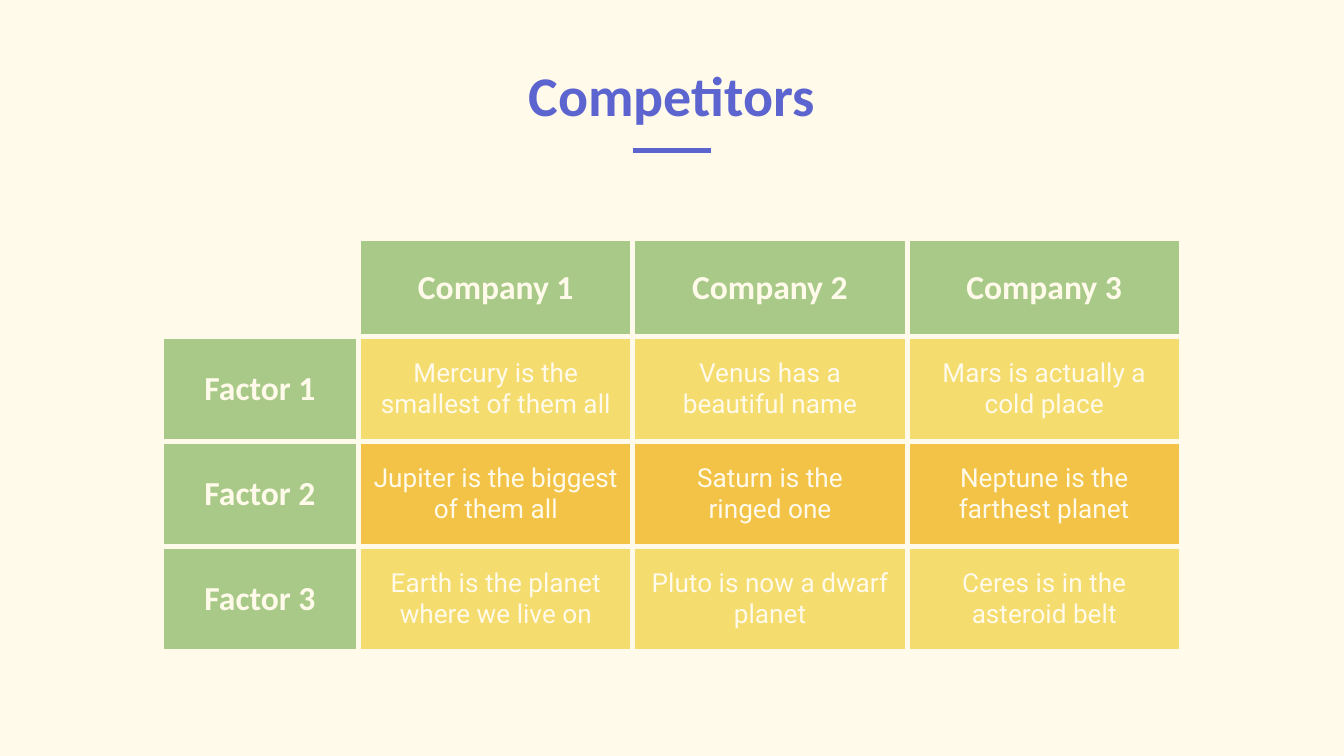
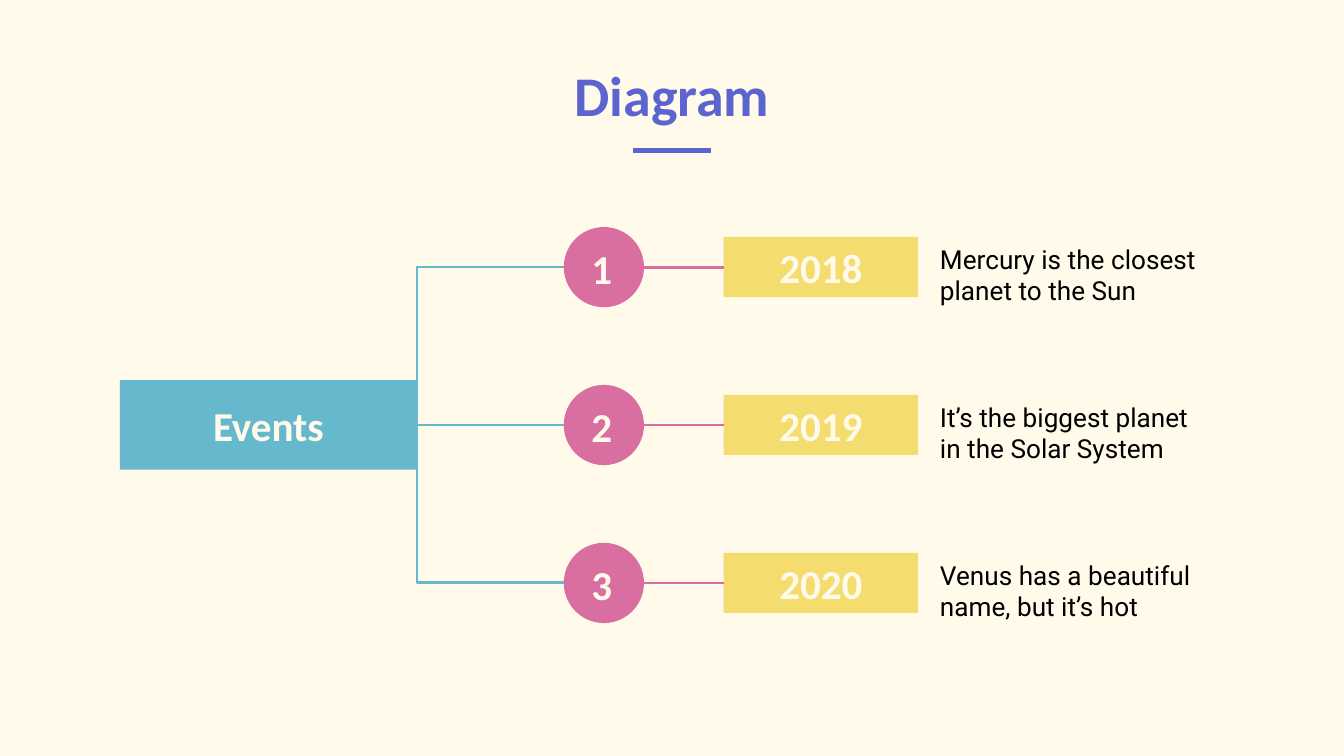
from dataclasses import dataclass

from lxml.etree import SubElement
from pptx import Presentation
from pptx.dml.color import RGBColor
from pptx.enum.shapes import MSO_CONNECTOR, MSO_SHAPE
from pptx.enum.text import MSO_ANCHOR, MSO_AUTO_SIZE, PP_ALIGN
from pptx.oxml.ns import qn
from pptx.presentation import Presentation as Deck
from pptx.shapes.autoshape import Shape
from pptx.shapes.connector import Connector
from pptx.slide import Slide
from pptx.table import _Cell as Cell
from pptx.text.text import TextFrame
from pptx.util import Pt


@dataclass(frozen=True)
class Theme:
    cream: str = "FFFAEA"
    indigo: str = "5C65CF"
    green: str = "A8C987"
    yellow: str = "F5DC6E"
    orange: str = "F3C347"
    blue: str = "66B9CC"
    pink: str = "D96FA0"
    black: str = "000000"
    heading_font: str = "Calibri"
    body_font: str = "Roboto"
    title_size: float = 30
    label_size: float = 22
    header_size: float = 18
    body_size: float = 14
    inset: float = 7.2
    rule_width: float = 3
    link_width: float = 1.5


@dataclass(frozen=True)
class Box:
    left: float
    top: float
    width: float
    height: float

    @property
    def right(self) -> float:
        return self.left + self.width

    @property
    def middle(self) -> float:
        return self.top + self.height / 2

    def points(self) -> tuple[Pt, Pt, Pt, Pt]:
        return Pt(self.left), Pt(self.top), Pt(self.width), Pt(self.height)


@dataclass(frozen=True)
class Factor:
    name: str
    fill: str
    notes: tuple[str, str, str]


@dataclass(frozen=True)
class Milestone:
    number: str
    year: str
    note: str


THEME = Theme()
SLIDE_WIDTH, SLIDE_HEIGHT = 720, 405
TITLE_BOX = Box(56, 16, 608, 59.6)
RULE_LENGTH, RULE_TOP = 42, 80.6

COMPANIES = ("Company 1", "Company 2", "Company 3")
FACTORS = (
    Factor("Factor 1", THEME.yellow, (
        "Mercury is the smallest of them all",
        "Venus has a beautiful name",
        "Mars is actually a\ncold place",
    )),
    Factor("Factor 2", THEME.orange, (
        "Jupiter is the biggest of them all",
        "Saturn is the\nringed one",
        "Neptune is the\nfarthest planet",
    )),
    Factor("Factor 3", THEME.yellow, (
        "Earth is the planet where we live on",
        "Pluto is now a dwarf planet",
        "Ceres is in the asteroid belt",
    )),
)
TABLE_LEFT, TABLE_TOP = 86.4, 127.8
COLUMN_WIDTHS = (105.8, 146.9, 146.9, 146.9)
ROW_HEIGHTS = (52.6, 56.2, 56.2, 56.2)

MILESTONES = (
    Milestone("1", "2018", "Mercury is the closest planet to the Sun"),
    Milestone("2", "2019", "It’s the biggest planet in the Solar System"),
    Milestone("3", "2020", "Venus has a beautiful name, but it’s hot"),
)
EVENTS_BOX = Box(64.2, 203.7, 159.2, 48)
MILESTONE_PITCH = 84.6
CIRCLE_LEFT, CIRCLE_SIZE = 302, 43
YEAR_LEFT, YEAR_WIDTH, YEAR_HEIGHT = 387.7, 104.2, 32.2
NOTE_LEFT, NOTE_WIDTH, NOTE_HEIGHT = 496.5, 159.2, 39.6
NUMBER_LEFT, NUMBER_SIZE = 306.2, 32.4
TEXT_RISE = 20


def rgb(color: str) -> RGBColor:
    return RGBColor.from_string(color)


def write_text(
    frame: TextFrame,
    text: str,
    *,
    size: float = THEME.label_size,
    font: str = THEME.heading_font,
    color: str = THEME.cream,
    bold: bool = True,
    align: PP_ALIGN = PP_ALIGN.CENTER,
) -> None:
    frame.text = text
    for paragraph in frame.paragraphs:
        paragraph.alignment = align
        for run in paragraph.runs:
            run.font.size = Pt(size)
            run.font.name = font
            run.font.bold = bold
            run.font.color.rgb = rgb(color)


def prepare_frame(frame: TextFrame, anchor: MSO_ANCHOR) -> TextFrame:
    frame.word_wrap = True
    frame.auto_size = MSO_AUTO_SIZE.NONE
    frame.vertical_anchor = anchor
    frame.margin_left = frame.margin_right = Pt(THEME.inset)
    frame.margin_top = frame.margin_bottom = Pt(THEME.inset)
    return frame


def add_filled_shape(slide: Slide, kind: MSO_SHAPE, box: Box, color: str) -> Shape:
    shape = slide.shapes.add_shape(kind, *box.points())
    shape.shadow.inherit = False
    shape.fill.solid()
    shape.fill.fore_color.rgb = rgb(color)
    shape.line.fill.background()
    return shape


def add_label_box(slide: Slide, box: Box, color: str, text: str) -> Shape:
    shape = add_filled_shape(slide, MSO_SHAPE.RECTANGLE, box, color)
    write_text(prepare_frame(shape.text_frame, MSO_ANCHOR.MIDDLE), text)
    return shape


def add_text_area(slide: Slide, box: Box) -> TextFrame:
    shape = slide.shapes.add_textbox(*box.points())
    return prepare_frame(shape.text_frame, MSO_ANCHOR.TOP)


def add_line(
    slide: Slide,
    start: tuple[float, float],
    end: tuple[float, float],
    color: str,
    width: float = THEME.link_width,
    kind: MSO_CONNECTOR = MSO_CONNECTOR.STRAIGHT,
) -> Connector:
    connector = slide.shapes.add_connector(
        kind, Pt(start[0]), Pt(start[1]), Pt(end[0]), Pt(end[1])
    )
    connector.line.color.rgb = rgb(color)
    connector.line.width = Pt(width)
    SubElement(connector._element.spPr, qn("a:effectLst"))
    return connector


def turn_at_start(connector: Connector) -> None:
    adjustments = connector._element.spPr.find(".//" + qn("a:avLst"))
    SubElement(adjustments, qn("a:gd"), name="adj1", fmla="val 0")


def add_titled_slide(presentation: Deck, title: str) -> Slide:
    slide = presentation.slides.add_slide(presentation.slide_layouts[5])
    shape = slide.shapes.title
    shape.left, shape.top, shape.width, shape.height = TITLE_BOX.points()
    write_text(
        prepare_frame(shape.text_frame, MSO_ANCHOR.BOTTOM),
        title,
        size=THEME.title_size,
        color=THEME.indigo,
    )
    rule_left = (SLIDE_WIDTH - RULE_LENGTH) / 2
    add_line(
        slide,
        (rule_left, RULE_TOP),
        (rule_left + RULE_LENGTH, RULE_TOP),
        THEME.indigo,
        THEME.rule_width,
    )
    return slide


def add_borders(cell: Cell) -> None:
    properties = cell._tc.get_or_add_tcPr()
    for side in ("a:lnL", "a:lnR", "a:lnT", "a:lnB"):
        border = SubElement(properties, qn(side), w=str(Pt(THEME.rule_width)))
        fill = SubElement(border, qn("a:solidFill"))
        SubElement(fill, qn("a:srgbClr"), val=THEME.cream)


def format_cell(cell: Cell, text: str, color: str, is_header: bool) -> None:
    cell.vertical_anchor = MSO_ANCHOR.MIDDLE
    cell.margin_left = cell.margin_right = Pt(THEME.inset)
    cell.margin_top = cell.margin_bottom = Pt(THEME.inset)
    add_borders(cell)
    if not text:
        cell.fill.background()
        return
    cell.fill.solid()
    cell.fill.fore_color.rgb = rgb(color)
    write_text(
        cell.text_frame,
        text,
        size=THEME.header_size if is_header else THEME.body_size,
        font=THEME.heading_font if is_header else THEME.body_font,
        bold=is_header,
    )


def build_competitors(presentation: Deck) -> None:
    slide = add_titled_slide(presentation, "Competitors")
    box = Box(TABLE_LEFT, TABLE_TOP, sum(COLUMN_WIDTHS), sum(ROW_HEIGHTS))
    table = slide.shapes.add_table(
        len(ROW_HEIGHTS), len(COLUMN_WIDTHS), *box.points()
    ).table
    table.first_row = table.horz_banding = False
    for column, width in zip(table.columns, COLUMN_WIDTHS):
        column.width = Pt(width)
    for row, height in zip(table.rows, ROW_HEIGHTS):
        row.height = Pt(height)
    rows = [Factor("", THEME.green, COMPANIES), *FACTORS]
    for row_index, factor in enumerate(rows):
        for column_index, text in enumerate((factor.name, *factor.notes)):
            is_header = row_index == 0 or column_index == 0
            color = THEME.green if is_header else factor.fill
            format_cell(table.cell(row_index, column_index), text, color, is_header)


def add_milestone(slide: Slide, events: Shape, milestone: Milestone, offset: int) -> None:
    middle = EVENTS_BOX.middle + offset * MILESTONE_PITCH
    circle = Box(CIRCLE_LEFT, middle - CIRCLE_SIZE / 2, CIRCLE_SIZE, CIRCLE_SIZE)
    year = Box(YEAR_LEFT, middle - YEAR_HEIGHT / 2, YEAR_WIDTH, YEAR_HEIGHT)
    note = Box(NOTE_LEFT, middle - TEXT_RISE, NOTE_WIDTH, NOTE_HEIGHT)
    number = Box(NUMBER_LEFT, middle - TEXT_RISE, NUMBER_SIZE, NUMBER_SIZE)

    start, end = (EVENTS_BOX.right, EVENTS_BOX.middle), (circle.left, middle)
    if offset:
        turn_at_start(add_line(slide, start, end, THEME.blue, kind=MSO_CONNECTOR.ELBOW))
    else:
        add_line(slide, start, end, THEME.blue).begin_connect(events, 3)

    add_filled_shape(slide, MSO_SHAPE.OVAL, circle, THEME.pink)
    year_box = add_label_box(slide, year, THEME.yellow, milestone.year)
    link = add_line(slide, (circle.right, middle), (year.left, middle), THEME.pink)
    link.end_connect(year_box, 1)
    write_text(add_text_area(slide, number), milestone.number)
    write_text(
        add_text_area(slide, note),
        milestone.note,
        size=THEME.body_size,
        font=THEME.body_font,
        color=THEME.black,
        bold=False,
        align=PP_ALIGN.LEFT,
    )


def build_diagram(presentation: Deck) -> None:
    slide = add_titled_slide(presentation, "Diagram")
    events = add_label_box(slide, EVENTS_BOX, THEME.blue, "Events")
    for offset, milestone in enumerate(MILESTONES, start=-1):
        add_milestone(slide, events, milestone, offset)


def main() -> None:
    presentation = Presentation()
    presentation.slide_width = Pt(SLIDE_WIDTH)
    presentation.slide_height = Pt(SLIDE_HEIGHT)
    background = presentation.slide_master.background.fill
    background.solid()
    background.fore_color.rgb = rgb(THEME.cream)
    build_competitors(presentation)
    build_diagram(presentation)
    presentation.save("out.pptx")


if __name__ == "__main__":
    main()
